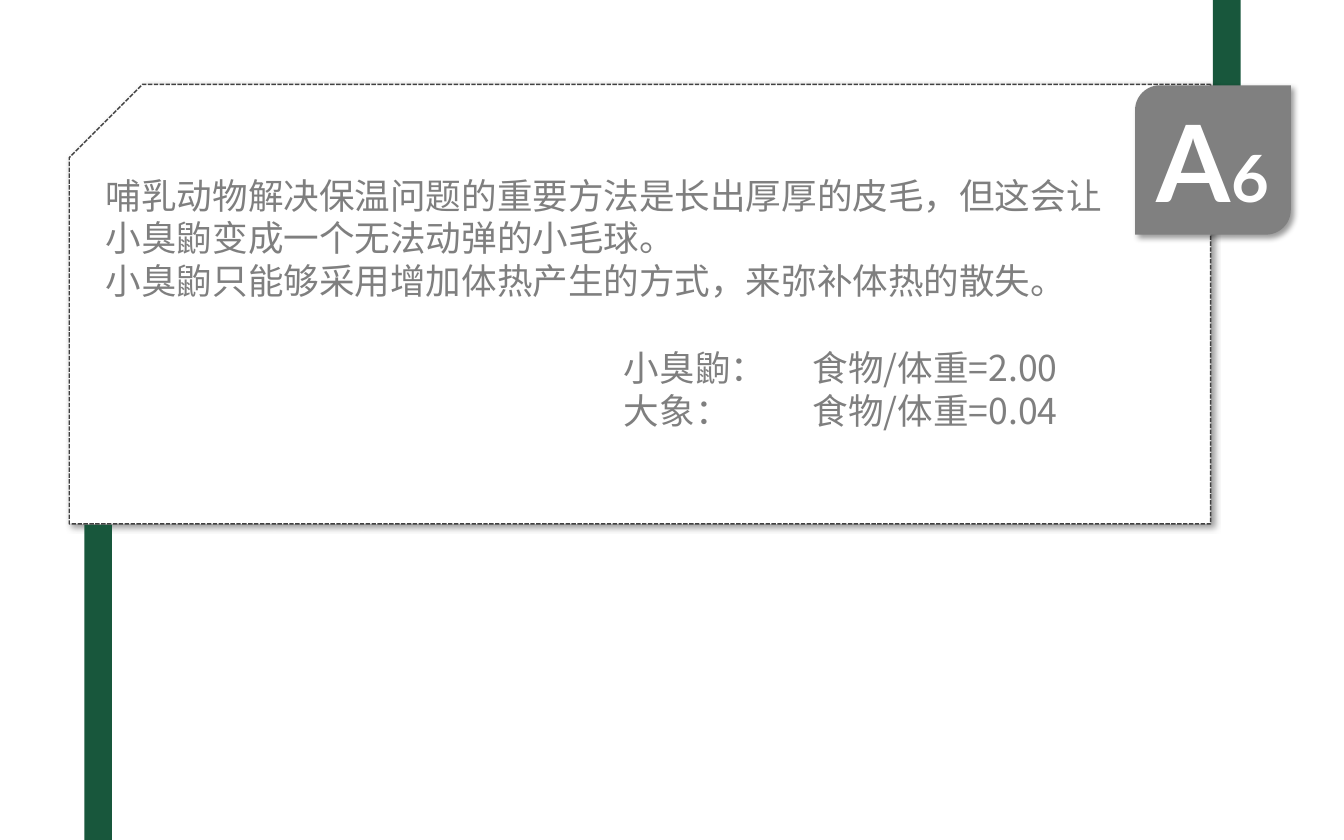
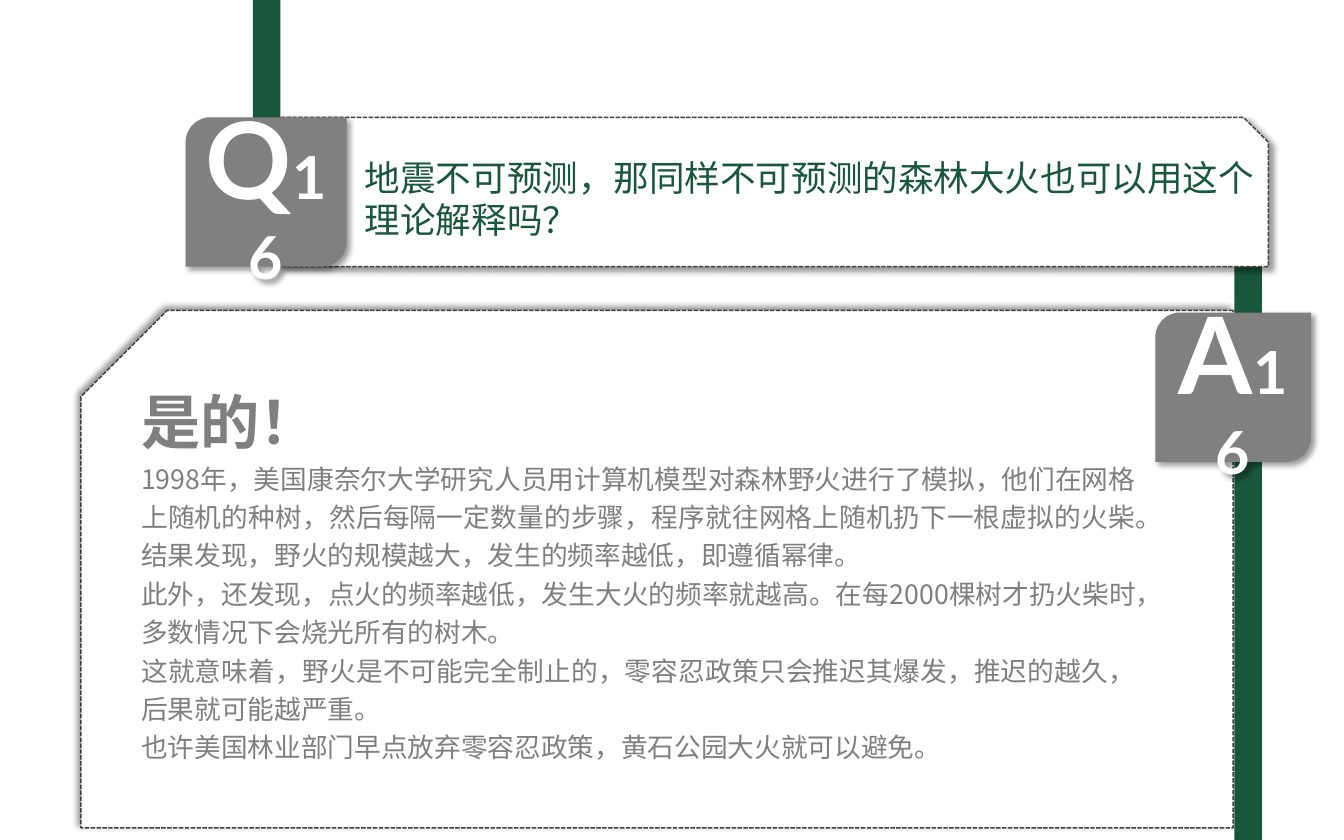
from dataclasses import dataclass

from lxml import etree
from pptx import Presentation
from pptx.dml.color import RGBColor
from pptx.enum.dml import MSO_LINE
from pptx.enum.shapes import MSO_SHAPE
from pptx.enum.text import MSO_ANCHOR, PP_ALIGN
from pptx.oxml.ns import qn
from pptx.util import Inches, Pt

RECT = MSO_SHAPE.RECTANGLE
SNIPPED = MSO_SHAPE.SNIP_1_RECTANGLE
LEAF = MSO_SHAPE.ROUND_2_DIAG_RECTANGLE
DASH = MSO_LINE.SQUARE_DOT
MIDDLE = MSO_ANCHOR.MIDDLE
LEFT, CENTER, JUSTIFY = PP_ALIGN.LEFT, PP_ALIGN.CENTER, PP_ALIGN.JUSTIFY

COLORS = {
    "green": "18573C",
    "badge": "808080",
    "body": "7F7F7F",
    "edge": "404040",
    "white": "FFFFFF",
    "shadow": "000000",
}
CJK, LATIN = "Noto Sans CJK SC", "Lato"
CM_PER_INCH = 2.54
SLIDE_W, SLIDE_H = 32 / CM_PER_INCH, 20 / CM_PER_INCH
BAR_W = 0.26
BADGE_H = 1.4
MARGINS = ("margin_left", "margin_top", "margin_right", "margin_bottom")
DEFAULT_INSETS = (0.1, 0.05, 0.1, 0.05)
NO_INSETS = (0, 0, 0, 0)


@dataclass(frozen=True)
class Run:
    text: str
    size: float = 24
    color: str = "body"
    font: str = CJK
    bold: bool = False


@dataclass(frozen=True)
class Para:
    runs: tuple[Run, ...]
    align: PP_ALIGN = LEFT
    spacing: float | None = None
    tab: float | None = None


@dataclass(frozen=True)
class Bar:
    left: float
    top: float
    bottom: float


@dataclass(frozen=True)
class Panel:
    box: tuple[float, float, float, float]
    insets: tuple[float, float, float, float]
    paras: tuple[Para, ...]
    snip_left: bool = False
    shadow_angle: int = 45


@dataclass(frozen=True)
class Badge:
    left: float
    top: float
    width: float
    letter: str
    number: str
    number_size: float
    insets: tuple[float, float, float, float] = NO_INSETS


def rgb(name: str) -> RGBColor:
    return RGBColor.from_string(COLORS[name])


def add_shadow(shape, angle: int) -> None:
    """Replace the inherited shadow by a soft one falling at the angle in degrees."""
    shape.shadow.inherit = False
    effects = shape._element.spPr.find(qn("a:effectLst"))
    outer = etree.SubElement(effects, qn("a:outerShdw"), blurRad=str(Pt(4)),
                             dist=str(Pt(3)), dir=str(angle * 60000),
                             algn="ctr", rotWithShape="0")
    color = etree.SubElement(outer, qn("a:srgbClr"), val=COLORS["shadow"])
    etree.SubElement(color, qn("a:alpha"), val="40000")


def add_filled(slide, kind: MSO_SHAPE, box: tuple, fill: str):
    shape = slide.shapes.add_shape(kind, *map(Inches, box))
    shape.shadow.inherit = False
    shape.fill.solid()
    shape.fill.fore_color.rgb = rgb(fill)
    shape.line.fill.background()
    return shape


def write(shape, paras: tuple[Para, ...], insets: tuple) -> None:
    frame = shape.text_frame
    frame.word_wrap = True
    frame.vertical_anchor = MIDDLE
    for side, inset in zip(MARGINS, insets):
        setattr(frame, side, Inches(inset))
    for index, para in enumerate(paras):
        line = frame.paragraphs[0] if index == 0 else frame.add_paragraph()
        if para.tab is not None:
            stops = etree.SubElement(line._p.get_or_add_pPr(), qn("a:tabLst"))
            etree.SubElement(stops, qn("a:tab"), pos=str(Inches(para.tab)), algn="l")
        for name, value in {"alignment": para.align,
                            "line_spacing": para.spacing}.items():
            setattr(line, name, value)
        for part in para.runs:
            run = line.add_run()
            run.text = part.text
            for name, value in {"size": Pt(part.size), "bold": part.bold,
                                "name": part.font}.items():
                setattr(run.font, name, value)
            run.font.color.rgb = rgb(part.color)
            etree.SubElement(run._r.get_or_add_rPr(), qn("a:ea"), typeface=part.font)


def draw_bar(slide, bar: Bar) -> None:
    add_filled(slide, RECT, (bar.left, bar.top, BAR_W, bar.bottom - bar.top), "green")


def draw_panel(slide, panel: Panel) -> None:
    shape = add_filled(slide, SNIPPED, panel.box, "white")
    shape.line.color.rgb = rgb("edge")
    shape.line.width = Pt(1)
    shape.line.dash_style = DASH
    if panel.snip_left:
        shape._element.spPr.find(qn("a:xfrm")).set("flipH", "1")
    add_shadow(shape, panel.shadow_angle)
    write(shape, panel.paras, panel.insets)


def draw_badge(slide, badge: Badge) -> None:
    shape = add_filled(slide, LEAF, (badge.left, badge.top, badge.width, BADGE_H), "badge")
    add_shadow(shape, 45)
    label = (Run(badge.letter, 72, "white", LATIN, True),
             Run(badge.number, badge.number_size, "white", LATIN, True))
    write(shape, (Para(label, CENTER),), badge.insets)


def draw_mammal_answer(slide) -> None:
    draw_bar(slide, Bar(11.37, 0, 1.69))
    draw_panel(slide, Panel((0.65, 0.79, 10.7, 4.12), (0, 0, 1.02, 1.59), (
        Para((Run("哺乳动物解决保温问题的重要方法是长出厚厚的皮毛，"
                  "但这会让小臭鼩变成一个无法动弹的小毛球。"),)),
        Para((Run("小臭鼩只能够采用增加体热产生的方式，来弥补体热的散失。"),)),
    ), snip_left=True))
    draw_badge(slide, Badge(10.64, 0.8, 1.46, "A", "6", 44, DEFAULT_INSETS))
    draw_bar(slide, Bar(0.79, 4.92, SLIDE_H))
    ratios = slide.shapes.add_textbox(*map(Inches, (5.75, 3.13, 4.65, 1.03)))
    write(ratios, tuple(
        Para((Run(f"{animal}：\t食物/体重={ratio}"),), tab=1.77)
        for animal, ratio in (("小臭鼩", "2.00"), ("大象", "0.04"))
    ), DEFAULT_INSETS)


def draw_forest_fire(slide) -> None:
    draw_bar(slide, Bar(11.57, 2.36, SLIDE_H))
    draw_bar(slide, Bar(2.37, 0, 2.08))
    question = Run("地震不可预测，那同样不可预测的森林大火也可以用这个理论解释吗？",
                   color="green")
    draw_panel(slide, Panel((2.63, 1.1, 9.26, BADGE_H), (0.79, 0, 0, 0),
                            (Para((question,)),)))
    draw_badge(slide, Badge(1.74, 1.1, 1.51, "Q", "16", 40))
    findings = (
        "1998年，美国康奈尔大学研究人员用计算机模型对森林野火进行了模拟，"
        "他们在网格上随机的种树，然后每隔一定数量的步骤，程序就往网格上随机"
        "扔下一根虚拟的火柴。结果发现，野火的规模越大，发生的频率越低，即遵循幂律。",
        "此外，还发现，点火的频率越低，发生大火的频率就越高。"
        "在每2000棵树才扔火柴时，多数情况下会烧光所有的树木。",
        "这就意味着，野火是不可能完全制止的，零容忍政策只会推迟其爆发，"
        "推迟的越久，后果就可能越严重。",
        "也许美国林业部门早点放弃零容忍政策，黄石公园大火就可以避免。",
    )
    draw_panel(slide, Panel((0.76, 2.91, 10.8, 4.85), (0.16, 0, 0.91, 0.31), (
        Para((Run("是的！", 40, bold=True),)),
        *(Para((Run(finding, 18),), JUSTIFY, 1.2) for finding in findings),
    ), snip_left=True, shadow_angle=225))
    draw_badge(slide, Badge(10.83, 2.93, 1.46, "A", "16", 40))


def main() -> None:
    deck = Presentation()
    deck.slide_width, deck.slide_height = Inches(SLIDE_W), Inches(SLIDE_H)
    blank = deck.slide_layouts[6]
    for draw in (draw_mammal_answer, draw_forest_fire):
        draw(deck.slides.add_slide(blank))
    deck.save("out.pptx")


if __name__ == "__main__":
    main()
